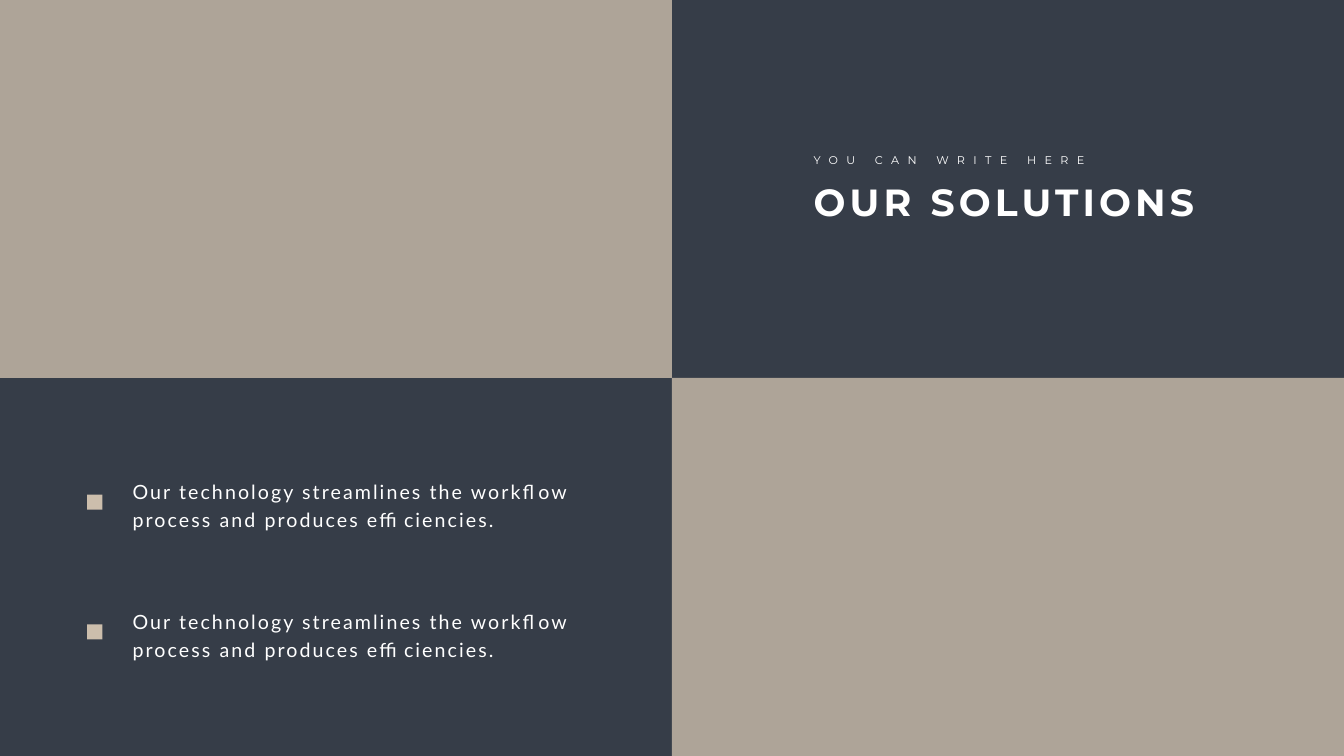
from dataclasses import dataclass

from lxml import etree
from pptx import Presentation
from pptx.dml.color import RGBColor
from pptx.enum.shapes import MSO_SHAPE
from pptx.enum.text import MSO_ANCHOR, MSO_AUTO_SIZE, PP_ALIGN
from pptx.oxml.ns import qn
from pptx.util import Pt

RECTANGLE = MSO_SHAPE.RECTANGLE
TOP = MSO_ANCHOR.TOP
LEFT = PP_ALIGN.LEFT
FIT_SHAPE = MSO_AUTO_SIZE.SHAPE_TO_FIT_TEXT

SLIDE_WIDTH, SLIDE_HEIGHT = 1919.52, 1080
PANEL_WIDTH, PANEL_HEIGHT = SLIDE_WIDTH / 2, SLIDE_HEIGHT / 2
HEADING_LEFT = 1154.88
FIRST_POINT_TOP, POINT_STEP = 669.6, 185.4
MARKER_SIZE, MARKER_DROP = 21.6, 36.9


@dataclass(frozen=True)
class Theme:
    navy: RGBColor = RGBColor(0x36, 0x3D, 0x48)
    sand: RGBColor = RGBColor(0xCC, 0xBE, 0xAC)
    white: RGBColor = RGBColor(0xFF, 0xFF, 0xFF)
    heading_font: str = "Montserrat"
    body_font: str = "Lato"
    title_size: float = 54
    kicker_size: float = 16
    body_size: float = 28
    body_line: float = 40.8


@dataclass(frozen=True)
class Area:
    left: float
    top: float
    width: float
    height: float

    def lengths(self) -> tuple:
        return Pt(self.left), Pt(self.top), Pt(self.width), Pt(self.height)


THEME = Theme()
PANELS = [
    Area(0, 0, PANEL_WIDTH, PANEL_HEIGHT),
    Area(PANEL_WIDTH, PANEL_HEIGHT, PANEL_WIDTH, PANEL_HEIGHT),
]
POINTS = ["Our technology streamlines the workflow process and produces efficiencies."] * 2


def draw_rectangle(page, area: Area, opacity: int = 100) -> None:
    shape = page.shapes.add_shape(RECTANGLE, *area.lengths())
    shape.shadow.inherit = False
    shape.fill.solid()
    shape.fill.fore_color.rgb = THEME.sand
    shape.line.fill.background()
    if opacity < 100:
        color = shape.element.spPr.find(qn("a:solidFill")).find(qn("a:srgbClr"))
        etree.SubElement(color, qn("a:alpha")).set("val", str(opacity * 1000))


def write_text(box, text: str, *, font: str, size: float, tracking: float,
               bold: bool = False, wrap: bool = True, line: float = 0,
               margins: tuple = (7.2, 3.6)) -> None:
    frame = box.text_frame
    frame.word_wrap = wrap
    frame.auto_size = FIT_SHAPE
    frame.vertical_anchor = TOP
    frame.margin_left = frame.margin_right = Pt(margins[0])
    frame.margin_top = frame.margin_bottom = Pt(margins[1])
    para = frame.paragraphs[0]
    para.alignment = LEFT
    if line:
        para.line_spacing = Pt(line)
    span = para.add_run()
    span.text = text
    span.font.name = font
    span.font.size = Pt(size)
    span.font.bold = bold
    span.font.color.rgb = THEME.white
    span.font._element.set("spc", str(round(tracking * 100)))


def draw_heading(page) -> None:
    title = page.shapes.title
    area = Area(HEADING_LEFT, 252, 569.52, 72.72)
    title.left, title.top, title.width, title.height = area.lengths()
    write_text(title, "OUR SOLUTIONS", font=THEME.heading_font,
               size=THEME.title_size, tracking=6, bold=True)
    kicker = page.shapes.add_textbox(*Area(HEADING_LEFT, 215.28, 416.16, 26.64).lengths())
    write_text(kicker, "YOU CAN WRITE HERE", font=THEME.heading_font,
               size=THEME.kicker_size, tracking=12, wrap=False)


def draw_point(page, text: str, top: float) -> None:
    draw_rectangle(page, Area(124.56, top + MARKER_DROP, MARKER_SIZE, MARKER_SIZE))
    box = page.shapes.add_textbox(*Area(172.08, top, 663.12, 95.76).lengths())
    write_text(box, text, font=THEME.body_font, size=THEME.body_size, tracking=3,
               line=THEME.body_line, margins=(17.28, 8.64))


def main() -> None:
    deck = Presentation()
    deck.slide_width, deck.slide_height = Pt(SLIDE_WIDTH), Pt(SLIDE_HEIGHT)
    page = deck.slides.add_slide(deck.slide_layouts.get_by_name("Title Only"))
    page.background.fill.solid()
    page.background.fill.fore_color.rgb = THEME.navy
    for panel in PANELS:
        draw_rectangle(page, panel, opacity=80)
    draw_heading(page)
    for index, text in enumerate(POINTS):
        draw_point(page, text, FIRST_POINT_TOP + index * POINT_STEP)
    deck.save("out.pptx")


if __name__ == "__main__":
    main()
